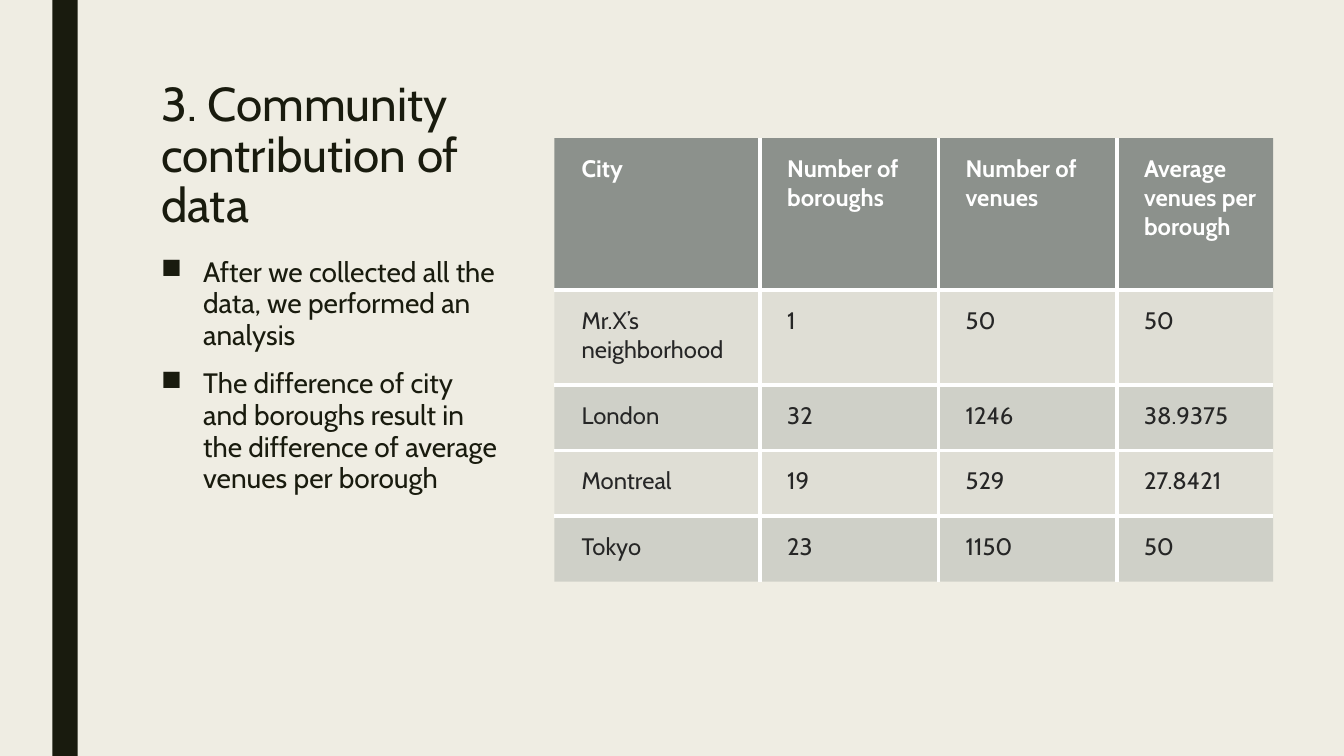
from dataclasses import dataclass

from lxml.etree import SubElement
from pptx import Presentation
from pptx.dml.color import RGBColor
from pptx.enum.shapes import MSO_SHAPE
from pptx.enum.text import MSO_ANCHOR, MSO_AUTO_SIZE, PP_ALIGN
from pptx.oxml import parse_xml
from pptx.oxml.ns import nsdecls, qn
from pptx.slide import Slide
from pptx.table import Table, _Cell
from pptx.text.text import TextFrame, _Paragraph
from pptx.util import Emu, Inches, Pt

PAPER = RGBColor(0xEF, 0xED, 0xE3)
INK = RGBColor(0x19, 0x1B, 0x0E)
SLATE = RGBColor(0x63, 0x6B, 0x68)
MIST = RGBColor(0x87, 0x8E, 0x8B)
COAL = RGBColor(0x26, 0x26, 0x26)
WHITE = RGBColor(0xFF, 0xFF, 0xFF)
FONT = "Cabin"
WIDE, HIGH = Inches(13.33), Inches(7.5)
COLS, ROWS = 160, 90


@dataclass(frozen=True)
class Box:
    """A place on the grid, in columns and rows."""
    left: float
    top: float
    width: float
    height: float

    def place(self) -> tuple[Emu, Emu, Emu, Emu]:
        """Return left, top, width and height as lengths."""
        return across(self.left), down(self.top), across(self.width), down(self.height)


@dataclass(frozen=True)
class Look:
    """The fill and type of a table row."""
    fill: RGBColor
    alpha: int
    color: RGBColor
    bold: bool = False


BAR = Box(6.24, 0, 3, 90)
TITLE = Box(18, 9, 43.1, 19.44)
BODY = Box(18, 30, 43.1, 47.04)
GRID = Box(66, 16.44, 85.56, 52.8)
SPANS = (24.48, 21.24, 21.24, 18.6)
TALLS = (18.12, 11.28, 7.8, 7.8, 7.8)
HEAD = Look(SLATE, 70, WHITE, True)
BANDS = (Look(MIST, 30, COAL), Look(MIST, 15, COAL))
POINTS = (
    "After we collected all the data, we performed an analysis",
    "The difference of city and boroughs result in the difference of average venues per borough",
)
DATA = (
    ("City", "Number of boroughs", "Number of venues", "Average venues per borough"),
    ("Mr.X’s neighborhood", "1", "50", "50"),
    ("London", "32", "1246", "38.9375"),
    ("Montreal", "19", "529", "27.8421"),
    ("Tokyo", "23", "1150", "50"),
)


def across(cols: float) -> Emu:
    """Turn grid columns into a length."""
    return Emu(round(WIDE * cols / COLS))


def down(rows: float) -> Emu:
    """Turn grid rows into a length."""
    return Emu(round(HIGH * rows / ROWS))


def style(para: _Paragraph, size: float, color: RGBColor, bold: bool = False) -> None:
    """Format the runs of a paragraph."""
    para.alignment = PP_ALIGN.LEFT
    for run in para.runs:
        run.font.name = FONT
        run.font.size = Pt(size)
        run.font.bold = bold
        run.font.color.rgb = color


def setup(frame: TextFrame) -> None:
    """Make a frame wrap its text from the top at a fixed size."""
    frame.word_wrap = True
    frame.auto_size = MSO_AUTO_SIZE.NONE
    frame.vertical_anchor = MSO_ANCHOR.TOP


def bullet(para: _Paragraph) -> None:
    """Give a paragraph a square bullet and a hanging indent."""
    props = para._p.get_or_add_pPr()
    hang = across(5)
    props.set("marL", str(hang))
    props.set("indent", str(-hang))
    SubElement(props, qn("a:buChar")).set("char", "■")


def draw_bar(slide: Slide) -> None:
    """Draw the dark bar at the left."""
    bar = slide.shapes.add_shape(MSO_SHAPE.RECTANGLE, *BAR.place())
    bar.shadow.inherit = False
    bar.fill.solid()
    bar.fill.fore_color.rgb = INK
    bar.line.fill.background()


def draw_title(slide: Slide) -> None:
    """Place and format the title."""
    title = slide.shapes.title
    title.left, title.top, title.width, title.height = TITLE.place()
    frame = title.text_frame
    frame.text = "3. Community contribution of data"
    setup(frame)
    para = frame.paragraphs[0]
    para.line_spacing = 0.89
    style(para, 34, INK)


def draw_body(slide: Slide) -> None:
    """Write the bulleted points."""
    frame = slide.shapes.add_textbox(*BODY.place()).text_frame
    frame.text = "\n".join(POINTS)
    setup(frame)
    for para in frame.paragraphs:
        para.line_spacing = 0.94
        para.space_before = Pt(10)
        para.space_after = Pt(2)
        bullet(para)
        style(para, 20, INK)


def edge(cell: _Cell, sides: dict[str, bool]) -> None:
    """Rule the inner sides of a cell in white and clear the outer ones."""
    props = cell._tc.get_or_add_tcPr()
    for spot, (side, inner) in enumerate(sides.items()):
        paint = (f'<a:solidFill><a:srgbClr val="{WHITE}"/></a:solidFill>'
                 if inner else "<a:noFill/>")
        rule = f'<a:ln{side} {nsdecls("a")} w="{Pt(3)}">{paint}</a:ln{side}>'
        props.insert(spot, parse_xml(rule))


def fill_cell(cell: _Cell, text: str, look: Look) -> None:
    """Write a cell and give it its look."""
    cell.text_frame.text = text
    cell.margin_left = across(3.24)
    cell.margin_right = across(1.92)
    cell.margin_top = cell.margin_bottom = down(1.92)
    cell.vertical_anchor = MSO_ANCHOR.TOP
    style(cell.text_frame.paragraphs[0], 17, look.color, look.bold)
    cell.fill.solid()
    cell.fill.fore_color.rgb = look.fill
    tone = cell._tc.tcPr.find(".//" + qn("a:srgbClr"))
    SubElement(tone, qn("a:alpha")).set("val", str(look.alpha * 1000))


def size_up(table: Table) -> None:
    """Set the widths and heights of the table."""
    for col, span in zip(table.columns, SPANS):
        col.width = across(span)
    for row, tall in zip(table.rows, TALLS):
        row.height = down(tall)


def draw_table(slide: Slide) -> None:
    """Draw the table of cities."""
    table = slide.shapes.add_table(len(DATA), len(SPANS), *GRID.place()).table
    size_up(table)
    for r, row in enumerate(DATA):
        look = BANDS[r % 2] if r else HEAD
        for c, text in enumerate(row):
            cell = table.cell(r, c)
            fill_cell(cell, text, look)
            edge(cell, {"L": c > 0, "R": c < len(SPANS) - 1,
                        "T": r > 0, "B": r < len(DATA) - 1})


def main() -> None:
    """Build and save the slide."""
    deck = Presentation()
    deck.slide_width, deck.slide_height = WIDE, HIGH
    slide = deck.slides.add_slide(deck.slide_layouts[5])
    slide.background.fill.solid()
    slide.background.fill.fore_color.rgb = PAPER
    for draw in (draw_bar, draw_title, draw_body, draw_table):
        draw(slide)
    deck.save("out.pptx")


if __name__ == "__main__":
    main()
